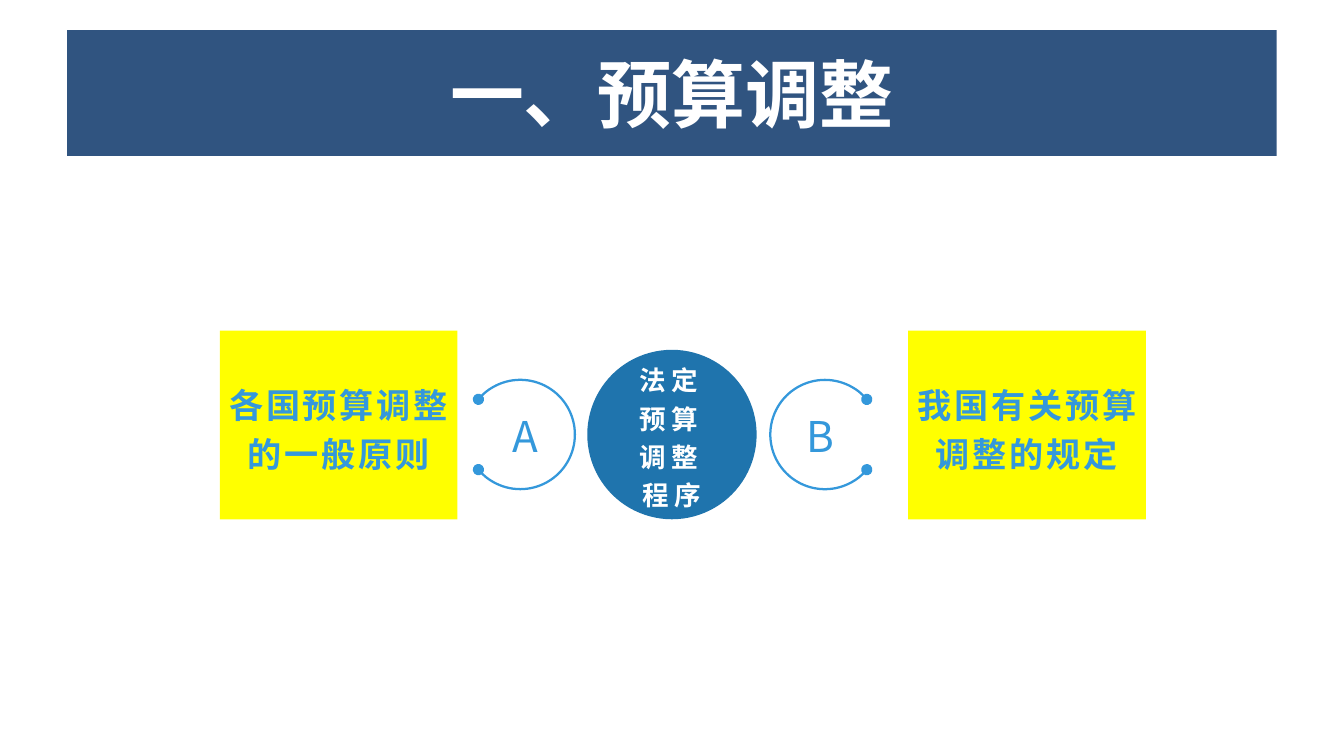
import pptx
import pptx.util
import pptx.enum.shapes
import pptx.enum.text
import pptx.dml.color
import pptx.oxml.ns
import lxml.etree

INCH = pptx.util.Inches
KIND = pptx.enum.shapes.MSO_SHAPE
TAG = pptx.oxml.ns.qn
HUE = {"navy": "305480", "blue": "1F74AD", "sky": "3498DB",
       "yellow": "FFFF00", "white": "FFFFFF"}
SANS = "Noto Sans CJK SC"
WIDE, HIGH = 9.84, 5.51
MID = 3.18  # centre line of circle and rings


def tint(name):
    return pptx.dml.color.RGBColor.from_string(HUE[name])


def write(shape, lines, size, hue, face=SANS, bold=True, track=0, lead=None, wrap=True):
    frame = shape.text_frame
    frame.word_wrap = wrap
    frame.vertical_anchor = pptx.enum.text.MSO_ANCHOR.MIDDLE
    frame.text = "\n".join(lines)
    for para in frame.paragraphs:
        para.alignment = pptx.enum.text.PP_ALIGN.CENTER
        if lead:
            para.line_spacing = lead
        font = para.font
        font.name, font.size, font.bold = face, pptx.util.Pt(size), bold
        font.color.rgb = tint(hue)
        # Letter spacing and East Asian face
        props = para._p.pPr.find(TAG("a:defRPr"))
        if track:
            props.set("spc", str(int(track * 100)))
        latin = props.find(TAG("a:latin"))
        latin.addnext(lxml.etree.Element(TAG("a:ea"), typeface=face))


def block(slide, box, kind, fill, lines, size, hue, **style):
    shape = slide.shapes.add_shape(kind, *map(INCH, box))
    shape.shadow.inherit = False
    shape.fill.solid()
    shape.fill.fore_color.rgb = tint(fill)
    shape.line.fill.background()
    write(shape, lines, size, hue, **style)


def ring(slide, x, y, first, last):
    """Open ring drawn clockwise between two angles, with a dot at each end."""
    size = 0.8
    box = (x - size / 2, y - size / 2, size, size)
    shape = slide.shapes.add_shape(KIND.ARC, *map(INCH, box))
    shape.shadow.inherit = False
    shape.fill.background()
    for spot, turn in enumerate((first, last)):
        shape.adjustments[spot] = turn * 0.6  # 60000 units a degree
    shape.line.color.rgb = tint("sky")
    shape.line.width = pptx.util.Pt(1.2)
    stroke = shape.line._get_or_add_ln()
    for end in ("a:headEnd", "a:tailEnd"):
        lxml.etree.SubElement(stroke, TAG(end), type="oval", w="med", len="med")


def letter(slide, box, label):
    text = slide.shapes.add_textbox(*map(INCH, box))
    write(text, [label], 22.3, "sky", bold=False)


def title(slide, box):
    block(slide, box, KIND.RECTANGLE, "navy", ["一、预算调整"], 39, "white", face="Calibri")


def chart(slide):
    # Yellow cards, each with a ring and its letter
    for left, lines, x, first, last, edge, label in (
            (1.61, ["各国预算调整", "的一般原则"], 3.81, 220, 140, 3.61, "A"),
            (6.65, ["我国有关预算", "调整的规定"], 6.04, 40, 320, 5.77, "B")):
        block(slide, (left, 2.42, 1.74, 1.38), KIND.RECTANGLE, "yellow", lines,
              18, "sky", track=1.5, lead=1.2, wrap=False)
        ring(slide, x, MID, first, last)
        letter(slide, (edge, 2.95, 0.48, 0.47), label)
    # Central circle
    size = 1.24
    block(slide, ((WIDE - size) / 2, MID - size / 2, size, size), KIND.OVAL,
          "blue", ["法定预算调整程序"], 14, "white", track=3, lead=1.2)


def main():
    deck = pptx.Presentation()
    deck.slide_width, deck.slide_height = INCH(WIDE), INCH(HIGH)
    slide = deck.slides.add_slide(deck.slide_layouts[6])
    title(slide, (WIDE * 0.05, HIGH * 0.04, WIDE * 0.9, 0.92))
    chart(slide)
    deck.save("out.pptx")


if __name__ == "__main__":
    main()
